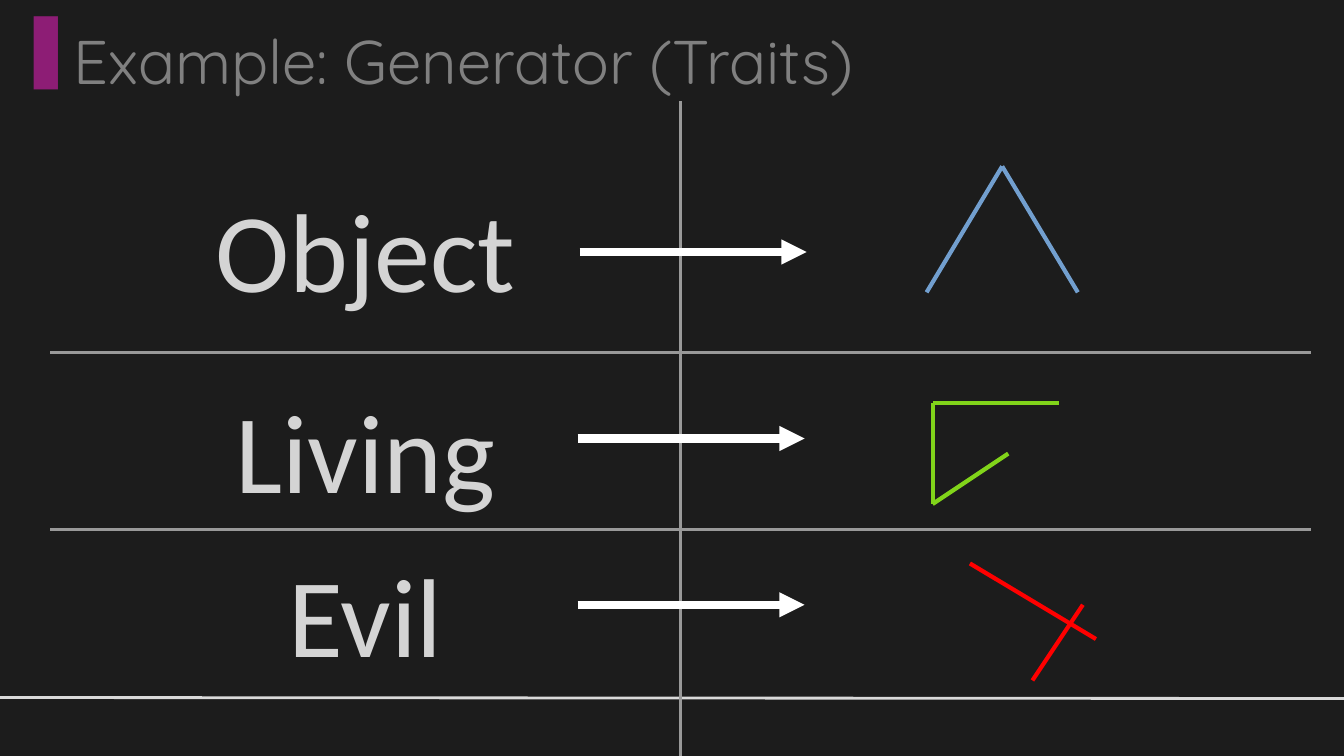
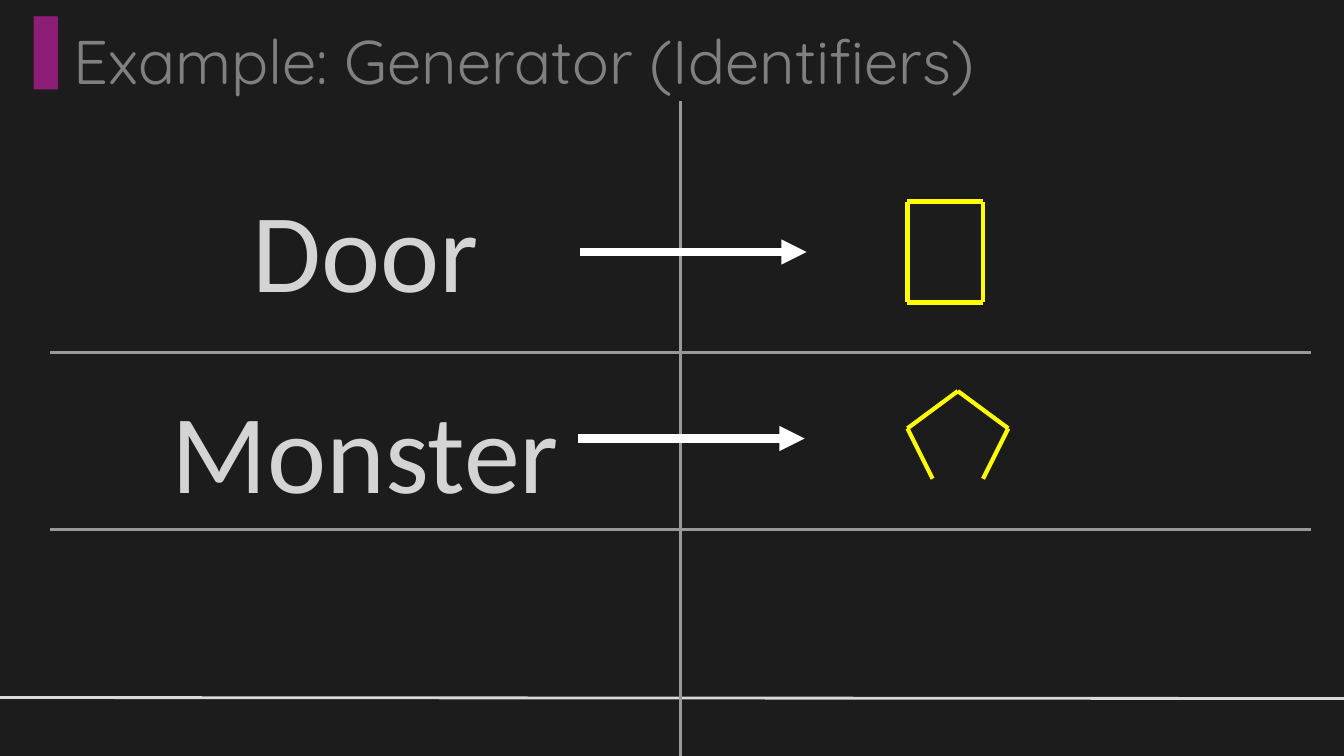
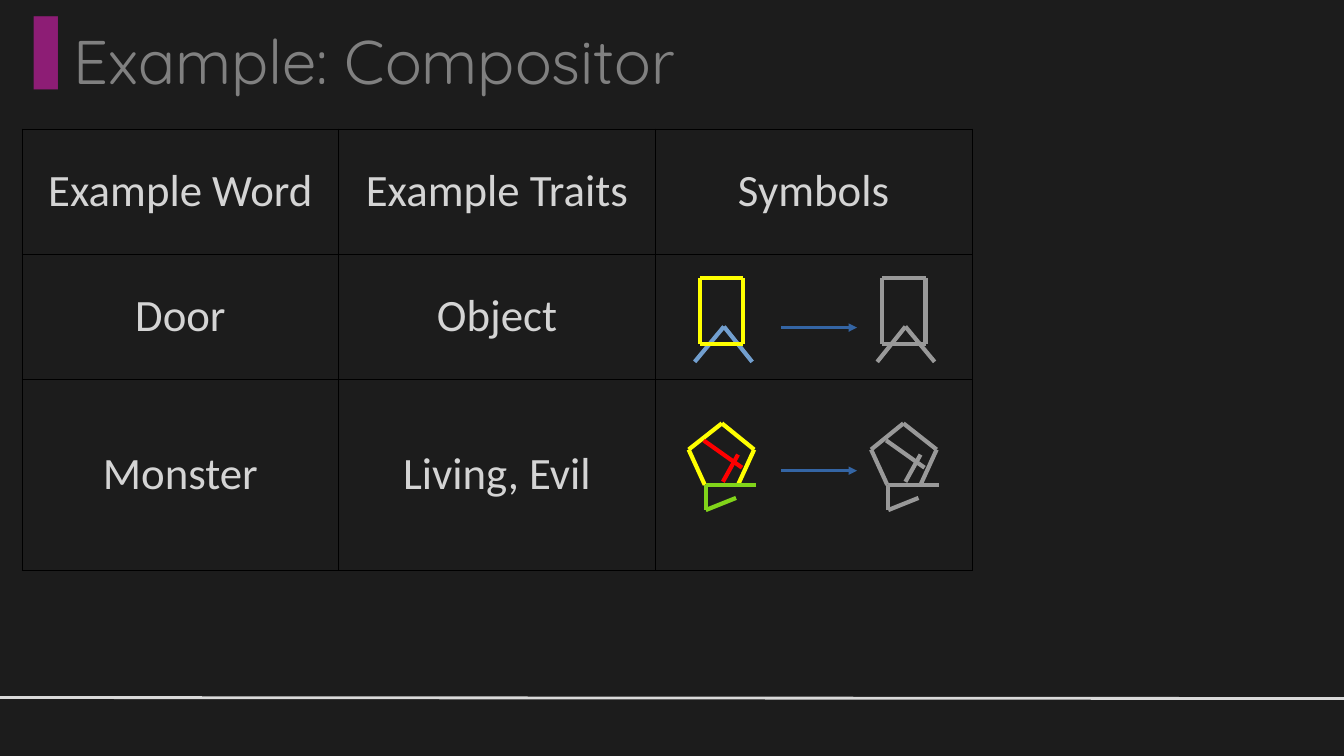
from lxml import etree
from pptx import Presentation
from pptx import util as u
from pptx.dml.color import RGBColor
from pptx.enum import shapes, text
from pptx.oxml import ns

PX = 9144  # 100 px to the inch
COLORS = {
    "background": "1C1C1C", "footer": "D9D9D9", "title": "808080", "accent": "8D1D75",
    "grid": "999999", "label": "D4D4D4", "arrow": "FFFFFF", "thin_arrow": "3465A4",
    "border": "000000", "object": "729FCF", "living": "81D41A", "evil": "FF0000",
    "identifier": "FFFF00", "result": "999999",
}
# Strokes of each symbol, as fractions of its box
SYMBOLS = {
    "object": [(0, 1, 0.5, 0), (0.5, 0, 1, 1)],
    "living": [(1, 0, 0, 0), (0, 0, 0, 1), (0, 1, 0.6, 0.5)],
    "evil": [(0, 0, 1, 0.65), (0.5, 1, 0.9, 0.35)],
    "door": [(0, 0, 0, 1), (0, 0, 1, 0), (1, 0, 1, 1), (0, 1, 1, 1)],
    "monster": [(0.5, 0, 0, 0.43), (0.5, 0, 1, 0.43), (0, 0.43, 0.25, 1), (1, 0.43, 0.75, 1)],
}
ROW_TOPS = (166, 366, 528)
ARROWS = ((575, 250), (573, 435), (573, 600))
RESULT_SHIFT = 181


def px(value):
    return u.Emu(round(value) * PX)


def rgb(name):
    return RGBColor.from_string(COLORS[name])


def add_child(parent, tag, **attributes):
    return etree.SubElement(parent, ns.qn(tag), attributes)


def format_runs(paragraph, size, font, color):
    for run in paragraph.runs:
        run.font.size = u.Pt(size)
        run.font.name = font
        run.font.color.rgb = rgb(color)


def add_line(container, ends, color, width=0, arrow=False):
    line = container.add_connector(shapes.MSO_CONNECTOR.STRAIGHT, *map(px, ends))
    line.line.color.rgb = rgb(color)
    line.line.width = u.Pt(width)
    if arrow:
        add_child(line.line._get_or_add_ln(), "a:tailEnd", type="triangle")
    add_child(line._element.spPr, "a:effectLst")
    return line


def add_symbol(container, name, box, color):
    left, top, width, height = box
    for x1, y1, x2, y2 in SYMBOLS[name]:
        ends = (left + x1 * width, top + y1 * height, left + x2 * width, top + y2 * height)
        add_line(container, ends, color, 3)


def add_label(slide, top, words):
    frame = slide.shapes.add_textbox(px(100), px(top), px(525), px(159)).text_frame
    frame.word_wrap = True
    frame.vertical_anchor = text.MSO_ANCHOR.MIDDLE
    frame.text = words
    paragraph = frame.paragraphs[0]
    paragraph.alignment = text.PP_ALIGN.CENTER
    format_runs(paragraph, 80, "Calibri", "label")


def add_slide(presentation, words):
    slide = presentation.slides.add_slide(presentation.slide_layouts[5])
    title = slide.shapes.title
    title.left, title.top, title.width, title.height = map(px, (0, 18, 1333, 148))
    frame = title.text_frame
    frame.vertical_anchor = text.MSO_ANCHOR.TOP
    frame.auto_size = text.MSO_AUTO_SIZE.NONE
    frame.text = words
    paragraph = frame.paragraphs[0]
    paragraph.alignment = text.PP_ALIGN.LEFT
    properties = paragraph._p.get_or_add_pPr()
    properties.set("marL", str(px(63)))
    properties.set("indent", str(-px(63)))
    add_child(add_child(properties, "a:buClr"), "a:srgbClr", val=COLORS["accent"])
    add_child(properties, "a:buChar", char="▐")
    format_runs(paragraph, 44, "Quicksand", "title")
    return slide


def add_footer_line(slide):
    """Draw the line on the slide, then move it to the layout that all slides share."""
    line = add_line(slide.shapes, (0, 692, 1333, 693), "footer")
    slide.slide_layout.shapes._spTree.append(line._element)


def add_generator_slide(presentation, title, rows):
    slide = add_slide(presentation, title)
    for ends in ((675, 750, 675, 100), (50, 525, 1300, 525), (50, 350, 1300, 350)):
        add_line(slide.shapes, ends, "grid")
    for (word, symbol, box, color), top, (x, y) in zip(rows, ROW_TOPS, ARROWS):
        add_label(slide, top, word)
        add_line(slide.shapes, (x, y, x + 225, y), "arrow", 6, arrow=True)
        add_symbol(slide.shapes.add_group_shape().shapes, symbol, box, color)
    return slide


def format_cell(cell):
    cell.fill.background()
    cell.vertical_anchor = text.MSO_ANCHOR.MIDDLE
    cell.margin_left = cell.margin_right = px(4)
    cell.margin_top = cell.margin_bottom = px(5)
    properties = cell._tc.get_or_add_tcPr()
    for index, side in enumerate(("a:lnL", "a:lnR", "a:lnT", "a:lnB")):
        border = add_child(properties, side, w=str(u.Pt(0.57)))
        add_child(add_child(border, "a:solidFill"), "a:srgbClr", val=COLORS["border"])
        properties.insert(index, border)
    paragraph = cell.text_frame.paragraphs[0]
    paragraph.alignment = text.PP_ALIGN.CENTER
    format_runs(paragraph, 32, "Calibri", "label")


def add_word_table(slide, rows, heights):
    columns = len(rows[0])
    frame = slide.shapes.add_table(len(rows), columns, px(22), px(128),
                                   px(314 * columns), px(sum(heights)))
    table = frame.table
    table.first_row = table.horz_banding = False
    for column in table.columns:
        column.width = px(314)
    for row, words, height in zip(table.rows, rows, heights):
        row.height = px(height)
        for cell, word in zip(row.cells, words):
            cell.text = word
            format_cell(cell)


def add_composition(slide, parts, arrow_y):
    """Draw coloured symbols, an arrow and the same symbols joined in one grey sign."""
    result = slide.shapes.add_group_shape()
    for symbol, (left, top, width, height), color in parts:
        add_symbol(slide.shapes.add_group_shape().shapes, symbol,
                   (left, top, width, height), color)
        add_symbol(result.shapes, symbol, (left + RESULT_SHIFT, top, width, height), "result")
    add_line(slide.shapes, (775, arrow_y, 850, arrow_y), "thin_arrow", arrow=True)


def add_compositor_slide(presentation):
    slide = add_slide(presentation, "Example: Compositor")
    add_word_table(slide, [
        ("Example Word", "Example Traits", "Symbols"),
        ("Door", "Object", ""),
        ("Monster", "Living, Evil", ""),
    ], (124, 124, 190))
    add_composition(slide, [
        ("object", (689, 324, 57, 35), "object"),
        ("door", (694, 276, 43, 65), "identifier"),
    ], 325)
    add_composition(slide, [
        ("monster", (683, 420, 65, 61), "identifier"),
        ("living", (700, 481, 50, 25), "living"),
        ("evil", (698, 437, 38, 41), "evil"),
    ], 467)


def main():
    presentation = Presentation()
    presentation.slide_width, presentation.slide_height = px(1333), px(750)
    background = presentation.slide_master.background.fill
    background.solid()
    background.fore_color.rgb = rgb("background")

    traits = add_generator_slide(presentation, "Example: Generator (Traits)", [
        ("Object", "object", (919, 165, 150, 125), "object"),
        ("Living", "living", (925, 400, 125, 100), "living"),
        ("Evil", "evil", (962, 559, 125, 116), "evil"),
    ])
    add_footer_line(traits)
    add_generator_slide(presentation, "Example: Generator (Identifiers)", [
        ("Door", "door", (900, 200, 75, 100), "identifier"),
        ("Monster", "monster", (900, 388, 100, 87), "identifier"),
    ])
    add_compositor_slide(presentation)
    presentation.save("out.pptx")


if __name__ == "__main__":
    main()
